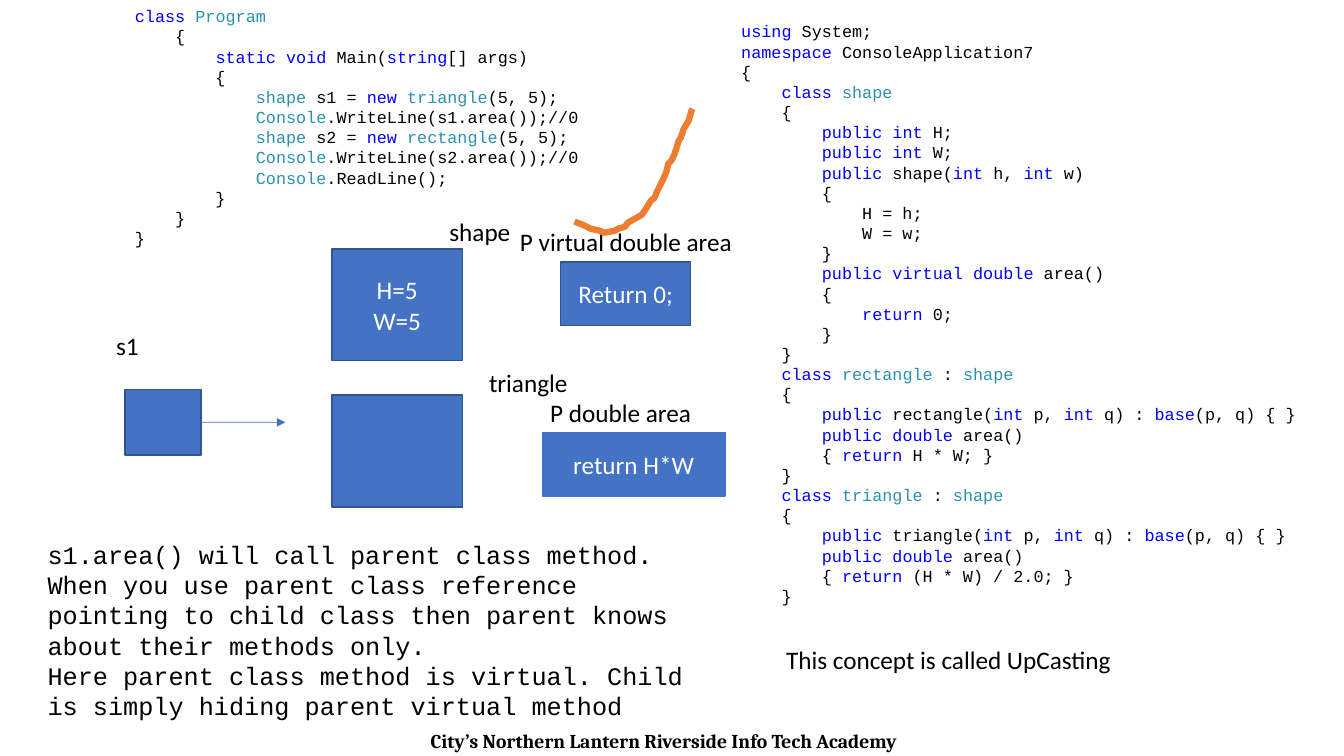
from itertools import groupby

from lxml.etree import SubElement
from pptx import Presentation
from pptx.dml.color import RGBColor
from pptx.enum.shapes import MSO_CONNECTOR as Link, MSO_SHAPE as Preset
from pptx.enum.text import MSO_ANCHOR as Anchor, MSO_AUTO_SIZE as AutoSize, PP_ALIGN as Align
from pptx.oxml.ns import qn
from pptx.util import Inches, Pt

WIDTH, HEIGHT = Inches(13.33), Inches(7.5)
BLUE, EDGE, ORANGE, BLACK, WHITE = "4472C4", "325491", "ED7D31", "000000", "FFFFFF"
KEYWORD, TYPE = "0000FF", "2B91AF"
KEYWORDS = set("using namespace class public int virtual double return base static void string new".split())
TYPES = {"Program", "Console", "shape", "rectangle", "triangle"}
LABEL = {"name": "Calibri", "size": Pt(18)}
CODE = {"name": "Courier New", "size": Pt(12)}
NOTE = {"name": "Courier New", "size": Pt(18)}
FOOTER = {"name": "Cambria", "size": Pt(14), "bold": True}

MAIN_CODE = """class Program
    {
        static void Main(string[] args)
        {
            shape s1 = new triangle(5, 5);
            Console.WriteLine(s1.area());//0
            shape s2 = new rectangle(5, 5);
            Console.WriteLine(s2.area());//0
            Console.ReadLine();
        }
    }
}"""
CLASS_CODE = """using System;
namespace ConsoleApplication7
{
    class shape
    {
        public int H;
        public int W;
        public shape(int h, int w)
        {
            H = h;
            W = w;
        }
        public virtual double area()
        {
            return 0;
        }
    }
    class rectangle : shape
    {
        public rectangle(int p, int q) : base(p, q) { }
        public double area()
        { return H * W; }
    }
    class triangle : shape
    {
        public triangle(int p, int q) : base(p, q) { }
        public double area()
        { return (H * W) / 2.0; }
    }"""
NOTES = """s1.area() will call parent class method.
When you use parent class reference pointing to child class then parent knows about their methods only.
Here parent class method is virtual. Child is simply hiding parent virtual method"""
STROKE = [(0, 111), (8, 114), (16, 118), (25, 120), (29, 122), (40, 120), (43, 118), (47, 117),
          (50, 116), (53, 112), (62, 107), (67, 104), (71, 98), (76, 90), (79, 88), (82, 81),
          (88, 69), (91, 62), (93, 54), (96, 51), (99, 45), (101, 39), (103, 32), (105, 29),
          (107, 24), (108, 20), (113, 12), (116, 2), (117, 0)]


def rgb(color):
    """Turn a hex string into a colour."""
    return RGBColor.from_string(color)


def area(x, y, w, h):
    """Turn percentages of the slide into lengths."""
    return [round(v * side / 100) for v, side in zip((x, y, w, h), (WIDTH, HEIGHT) * 2)]


def style(font, fmt, color):
    """Apply a dict of font values and a colour."""
    for key, value in fmt.items():
        setattr(font, key, value)
    font.color.rgb = rgb(color)


def write(tf, text, fmt, color=BLACK, align=Align.LEFT):
    """Fill a text frame with one paragraph a line."""
    tf.word_wrap = True
    for i, line in enumerate(text.split("\n")):
        p = tf.add_paragraph() if i else tf.paragraphs[0]
        p.alignment = align
        r = p.add_run()
        r.text = line
        style(r.font, fmt, color)


def add_text(s, box, text, fmt=LABEL, align=Align.LEFT):
    """Add a text box."""
    write(s.shapes.add_textbox(*area(*box)).text_frame, text, fmt, align=align)


def write_code(tf, code):
    """Fill a text frame with coloured code, free of bullets and spacing."""
    tf.word_wrap, tf.auto_size = True, AutoSize.NONE
    for i, line in enumerate(code.split("\n")):
        p = tf.add_paragraph() if i else tf.paragraphs[0]
        pPr = p._p.get_or_add_pPr()
        pPr.set("marL", "0")
        pPr.set("indent", "0")
        SubElement(pPr, qn("a:buNone"))
        p.space_before = Pt(0)
        previous = ""
        for is_word, chars in groupby(line, str.isalnum):
            r = p.add_run()
            r.text = word = "".join(chars)
            is_type = word in TYPES and previous != "public"
            style(r.font, CODE, KEYWORD if word in KEYWORDS else TYPE if is_type else BLACK)
            previous = word if is_word else previous


def add_box(s, box, text="", edge=EDGE):
    """Add a blue rectangle with centred white text."""
    sp = s.shapes.add_shape(Preset.RECTANGLE, *area(*box))
    sp.shadow.inherit = False
    sp.fill.solid()
    sp.fill.fore_color.rgb = rgb(BLUE)
    sp.line.color.rgb = rgb(edge)
    sp.line.width = Pt(1)
    sp.text_frame.vertical_anchor = Anchor.MIDDLE
    if text:
        write(sp.text_frame, text, LABEL, WHITE, Align.CENTER)
    return sp


def add_arrow(s, start, x, y):
    """Draw an arrow from the right side of a rectangle to a point."""
    end_x, end_y, *_ = area(x, y, 0, 0)
    line = s.shapes.add_connector(Link.STRAIGHT, 0, 0, end_x, end_y)
    line.begin_connect(start, 3)
    line.line.color.rgb = rgb(BLUE)
    line.line.width = Pt(0.5)
    SubElement(line.line._get_or_add_ln(), qn("a:tailEnd"), type="triangle")
    SubElement(line._element.spPr, qn("a:effectLst"))


def memory_diagram(s, left, top):
    """Draw the reference, its object and the methods it holds."""
    def at(x, y, w, h):
        return left + x, top + y, w, h

    reference = add_box(s, at(1.4, 23.5, 5.65, 8.7))
    add_arrow(s, reference, left + 13.33, top + 27.87)
    for y, text in ((24.27, ""), (4.93, "H=5\nW=5")):
        add_box(s, at(16.8, y, 9.7, 14.8), text)
    add_box(s, at(33.8, 6.67, 9.7, 8.4), "Return 0;")
    add_box(s, at(32.45, 29.2, 13.6, 8.4), "return H*W", BLUE)
    for x, y, w, text in ((0, 15.07, 3.5, "s1"), (24.8, 0, 8.4, "shape"),
                          (27.75, 19.87, 8.5, "triangle"),
                          (30.05, 1.33, 19.2, "P virtual double area"),
                          (32.3, 23.87, 12.4, "P double area")):
        add_text(s, at(x, y, w, 5.33), text)


def pen_stroke(s, box):
    """Draw the hand-drawn orange curve."""
    x, y, w, h = area(*box)
    scale = w / max(px for px, _ in STROKE), h / max(py for _, py in STROKE)
    builder = s.shapes.build_freeform(*STROKE[0], scale=scale)
    builder.add_line_segments(STROKE[1:], close=False)
    sp = builder.convert_to_shape(x, y)
    sp.shadow.inherit = False
    sp.fill.background()
    sp.line.color.rgb = rgb(ORANGE)
    sp.line.width = Pt(4.5)


def class_listing(s, box):
    """Put the class code in the body placeholder."""
    body = s.placeholders[1]
    body.left, body.top, body.width, body.height = area(*box)
    write_code(body.text_frame, CLASS_CODE)


def main():
    """Build and save the slide."""
    prs = Presentation()
    prs.slide_width, prs.slide_height = WIDTH, HEIGHT
    s = prs.slides.add_slide(prs.slide_layouts[1])
    title = s.shapes.title._element
    title.getparent().remove(title)
    add_text(s, (0, 95.73, 98.8, 4.27), "City’s Northern Lantern Riverside Info Tech Academy",
             FOOTER, Align.CENTER)
    class_listing(s, (54.4, 2.13, 43.3, 87.87))
    write_code(s.shapes.add_textbox(*area(9.3, 0.13, 46.8, 39.07)).text_frame, MAIN_CODE)
    memory_diagram(s, 7.9, 28)
    pen_stroke(s, (42.75, 14.4, 8.78, 16.4))
    add_text(s, (2.8, 70.67, 49.8, 25.6), NOTES, NOTE)
    add_text(s, (57.75, 84.53, 39, 5.33), "This concept is called UpCasting")
    prs.save("out.pptx")


if __name__ == "__main__":
    main()
